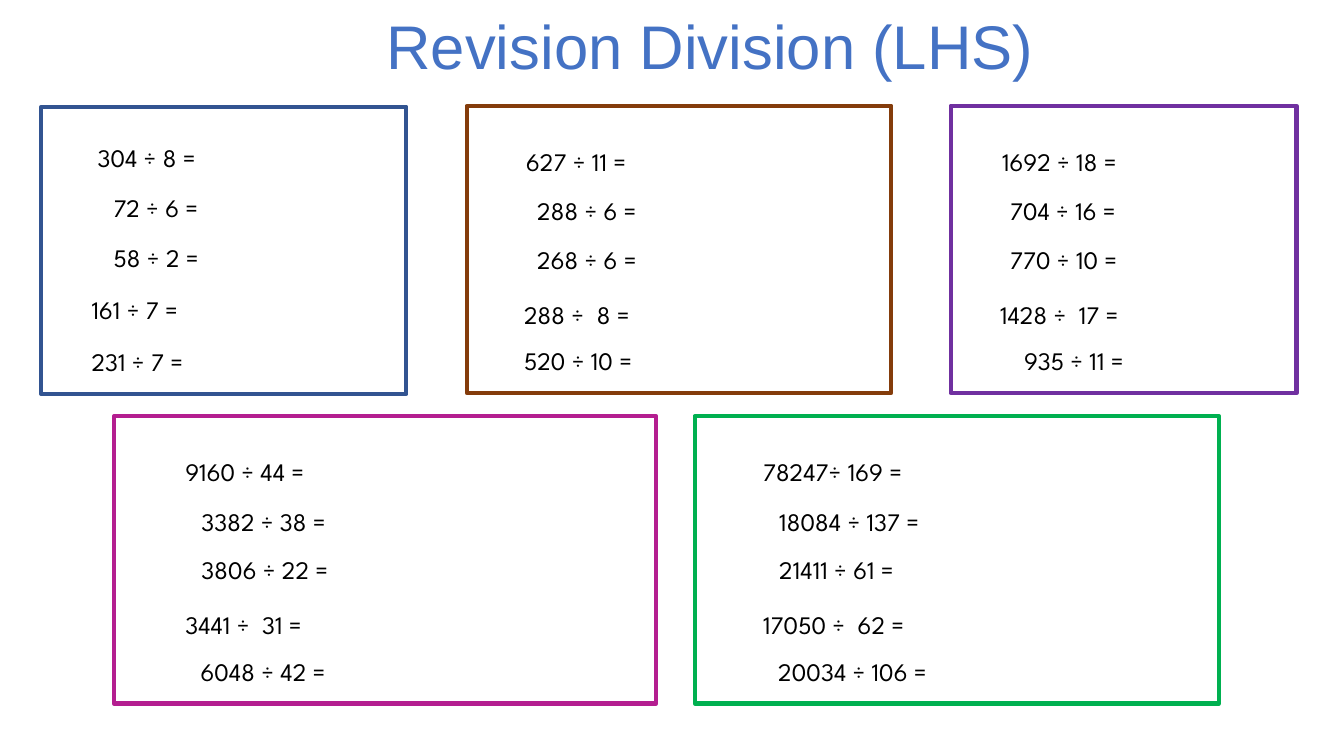
from pptx import Presentation
from pptx.dml.color import RGBColor
from pptx.enum.shapes import MSO_SHAPE
from pptx.enum.text import MSO_ANCHOR, MSO_AUTO_SIZE, PP_ALIGN
from pptx.util import Inches, Pt

BLUE = RGBColor(0x44, 0x72, 0xC4)
NAVY = RGBColor(0x32, 0x54, 0x91)
BROWN = RGBColor(0x84, 0x3C, 0x0B)
PURPLE = RGBColor(0x70, 0x30, 0xA0)
MAGENTA = RGBColor(0xB4, 0x1E, 0x90)
GREEN = RGBColor(0x00, 0xB0, 0x50)
BLACK = RGBColor(0, 0, 0)

CARD_HEIGHT = 2.85
SUM_HEIGHT = 0.4
EVEN_ROWS = [0.3, 0.8, 1.3, 1.81, 2.33]
SPLIT_ROWS = [0.35, 0.84, 1.32, 1.87, 2.33]

CARDS = [
    (0.41, 1.06, 3.62, NAVY, EVEN_ROWS, 2.06,
     [(0.46, "304 ÷ 8 ="), (0.62, "72 ÷ 6 ="), (0.62, "58 ÷ 2 ="),
      (0.4, "161 ÷ 7 ="), (0.4, "231 ÷ 7 =")]),
    (4.63, 1.05, 4.21, BROWN, SPLIT_ROWS, 2.4,
     [(0.49, "627 ÷ 11 ="), (0.6, "288 ÷ 6 ="), (0.6, "268 ÷ 6 ="),
      (0.47, "288 ÷  8 ="), (0.47, "520 ÷ 10 =")]),
    (9.43, 1.05, 3.43, PURPLE, SPLIT_ROWS, 2.44,
     [(0.41, "1692 ÷ 18 ="), (0.49, "704 ÷ 16 ="), (0.49, "770 ÷ 10 ="),
      (0.39, "1428 ÷  17 ="), (0.63, "935 ÷ 11 =")]),
    (1.13, 4.13, 5.38, MAGENTA, SPLIT_ROWS, 3.82,
     [(0.61, "9160 ÷ 44 ="), (0.77, "3382 ÷ 38 ="), (0.77, "3806 ÷ 22 ="),
      (0.61, "3441 ÷  31 ="), (0.76, "6048 ÷ 42 =")]),
    (6.89, 4.13, 5.2, GREEN, SPLIT_ROWS, 3.95,
     [(0.58, "78247÷ 169 ="), (0.74, "18084 ÷ 137 ="), (0.74, "21411 ÷ 61 ="),
      (0.58, "17050 ÷  62 ="), (0.73, "20034 ÷ 106 =")]),
]


def set_heading(slide, left, top, width, height):
    heading = slide.shapes.title
    heading.left, heading.top = Inches(left), Inches(top)
    heading.width, heading.height = Inches(width), Inches(height)
    frame = heading.text_frame
    frame.text = "Revision Division (LHS)"
    frame.auto_size = MSO_AUTO_SIZE.NONE
    frame.vertical_anchor = MSO_ANCHOR.BOTTOM
    line = frame.paragraphs[0]
    line.alignment = PP_ALIGN.CENTER
    line.font.name = "Arial"
    line.font.size = Pt(44)
    line.font.color.rgb = BLUE


def add_sum(slide, left, top, width, wording):
    division = slide.shapes.add_textbox(
        Inches(left), Inches(top), Inches(width), Inches(SUM_HEIGHT))
    frame = division.text_frame
    frame.word_wrap = True
    frame.text = wording
    font = frame.paragraphs[0].font
    font.name = "League Spartan"
    font.size = Pt(18)
    font.color.rgb = BLACK


def add_card(slide, left, top, width, color, rows, sum_width, sums):
    border = slide.shapes.add_shape(
        MSO_SHAPE.RECTANGLE, Inches(left), Inches(top),
        Inches(width), Inches(CARD_HEIGHT))
    border.shadow.inherit = False
    border.fill.background()
    border.line.color.rgb = color
    border.line.width = Pt(3)
    for row, (indent, wording) in zip(rows, sums):
        add_sum(slide, left + indent, top + row, sum_width, wording)


def main():
    deck = Presentation()
    deck.slide_width, deck.slide_height = Inches(13.33), Inches(7.5)
    slide = deck.slides.add_slide(deck.slide_layouts[5])
    set_heading(slide, 1.93, 0.21, 10.23, 0.65)
    for card in CARDS:
        add_card(slide, *card)
    deck.save("out.pptx")


if __name__ == "__main__":
    main()
